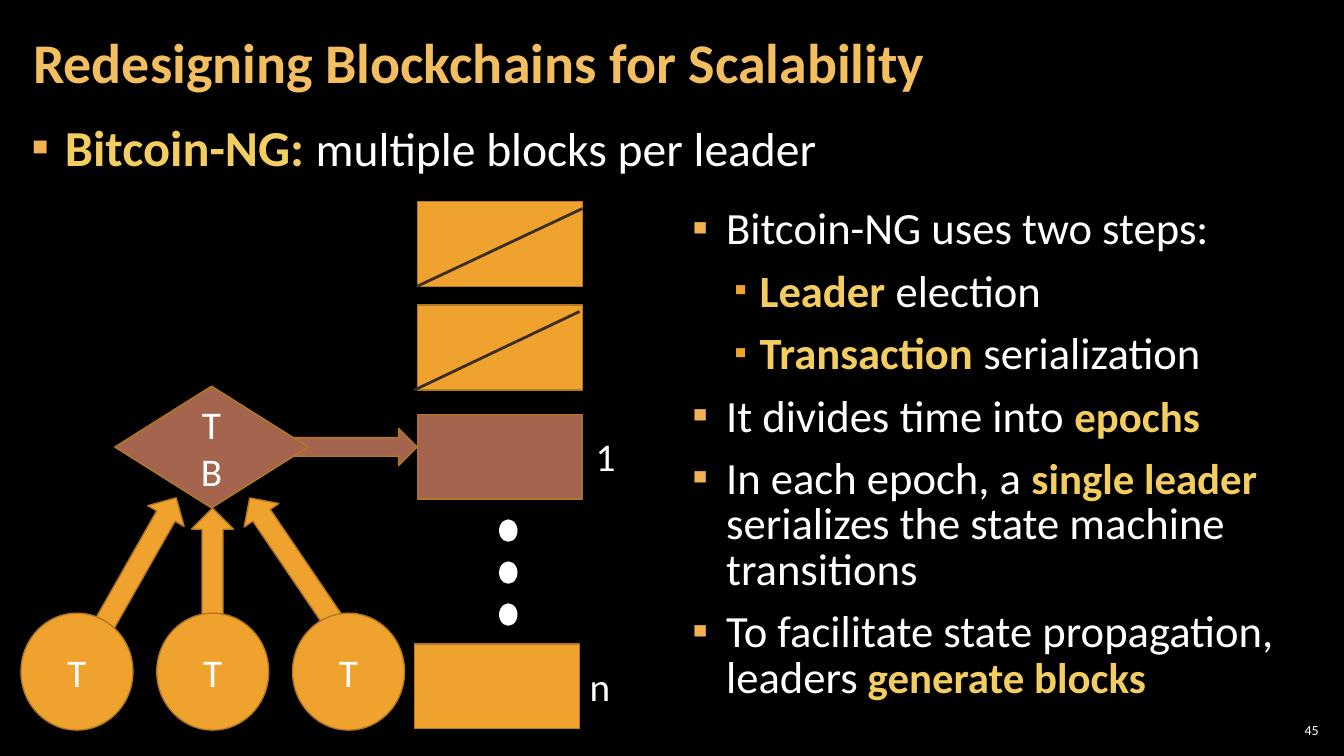
"""Build the slide on redesigning blockchains for scalability."""
from lxml import etree
from pptx import Presentation
from pptx import util as u
from pptx.dml import color
from pptx.enum import shapes, text
from pptx.oxml import ns

WHITE, GOLD, TITLE_GOLD, ORANGE, BROWN, RIM, SLASH = (
    "FFFFFF", "F3CD60", "F3BE60", "F0A22E", "A5644E", "B27822", "3B2C24")
LEFT, CENTER, RIGHT = text.PP_ALIGN.LEFT, text.PP_ALIGN.CENTER, text.PP_ALIGN.RIGHT
TOP, MIDDLE = text.MSO_ANCHOR.TOP, text.MSO_ANCHOR.MIDDLE
BULLETS = {"main": (24, -24, "F2B254", 100), "sub": (48, -18, ORANGE, 80)}


def paint(fill, value):
    """Give a fill, line fill or font fill one solid colour."""
    fill.solid()
    fill.fore_color.rgb = color.RGBColor.from_string(value)


def write(frame, paragraphs, align=LEFT, spacing=1.0, gap=0):
    """Write (bullet, runs) paragraphs; a run is (text, size, colour, bold)."""
    for index, (bullet, runs) in enumerate(paragraphs):
        paragraph = frame.paragraphs[0] if index == 0 else frame.add_paragraph()
        layout = {"alignment": align, "line_spacing": spacing, "space_after": u.Pt(gap),
                  "space_before": u.Pt(gap if index else 0)}
        for name, value in layout.items():
            setattr(paragraph, name, value)
        if bullet:
            margin, indent, tint, percent = BULLETS[bullet]
            properties = paragraph._p.get_or_add_pPr()
            properties.set("marL", str(u.Pt(margin)))
            properties.set("indent", str(u.Pt(indent)))
            bullet_color = etree.SubElement(properties, ns.qn("a:buClr"))
            etree.SubElement(bullet_color, ns.qn("a:srgbClr"), val=tint)
            etree.SubElement(properties, ns.qn("a:buSzPct"), val=str(percent * 1000))
            etree.SubElement(properties, ns.qn("a:buFont"), typeface="Calibri")
            etree.SubElement(properties, ns.qn("a:buChar"), char="▪")
        for words, size, tint, bold in runs:
            run = paragraph.add_run()
            run.text = words
            for name, value in {"name": "Calibri", "size": u.Pt(size), "bold": bold}.items():
                setattr(run.font, name, value)
            paint(run.font.fill, tint)


presentation = Presentation()
presentation.slide_width, presentation.slide_height = u.Pt(960), u.Pt(540)
slide = presentation.slides.add_slide(presentation.slide_layouts[6])
paint(slide.background.fill, "000000")

KIND = shapes.MSO_SHAPE
block_size, circle_size, arrow_size, dot_size = (118, 60.5), (80, 83.5), (30, 108), (12.2, 15)
figures = [(KIND.RIGHT_ARROW, 200, 306, (98, 26.5), 0, BROWN, RIM, "")]
for left, top, fill in [(298, 144, ORANGE), (298, 218, ORANGE), (298, 296, BROWN), (296, 460, ORANGE)]:
    figures.append((KIND.RECTANGLE, left, top, block_size, 0, fill, RIM, ""))
for left, top, turn in [(136.8, 363, 180), (84.2, 348.5, 209.6), (193.7, 346.3, 145.8)]:
    figures.append((KIND.DOWN_ARROW, left, top, arrow_size, turn, ORANGE, RIM, ""))
for column in range(3):
    figures.append((KIND.OVAL, 15 + 97 * column, 438, circle_size, 0, ORANGE, RIM, "T"))
for row in range(3):
    figures.append((KIND.OVAL, 357, 371.5 + 30 * row, dot_size, 0, WHITE, WHITE, ""))
figures.append((KIND.FLOWCHART_DECISION, 82, 275.8, (138.2, 87), 0, BROWN, RIM, "TB"))

for kind, left, top, (width, height), turn, fill, rim, letters in figures:
    shape = slide.shapes.add_shape(kind, u.Pt(left), u.Pt(top), u.Pt(width), u.Pt(height))
    shape.rotation = turn
    shape.shadow.inherit = False
    paint(shape.fill, fill)
    paint(shape.line.fill, rim)
    shape.line.width = u.Pt(1)
    shape.text_frame.vertical_anchor = MIDDLE
    write(shape.text_frame, [(None, [(letter, 28, WHITE, False)]) for letter in letters], CENTER)

for left, bottom, right, top in [(298, 204.5, 416, 149), (296, 278.6, 414, 222.5)]:
    line = slide.shapes.add_connector(
        shapes.MSO_CONNECTOR.STRAIGHT, u.Pt(left), u.Pt(bottom), u.Pt(right), u.Pt(top))
    paint(line.line.fill, SLASH)
    line.line.width = u.Pt(2)
    etree.SubElement(line._element.spPr, ns.qn("a:effectLst"))

steps = [
    ("main", [("Bitcoin-NG uses two steps:", 31.9, WHITE, False)]),
    ("sub", [("Leader", 31.9, GOLD, True), (" election", 31.9, WHITE, False)]),
    ("sub", [("Transaction", 31.9, GOLD, True), (" serialization", 31.9, WHITE, False)]),
    ("main", [("It divides time into ", 31.9, WHITE, False), ("epochs", 30.6, GOLD, True)]),
    ("main", [("In each epoch, a ", 31.9, WHITE, False), ("single leader ", 30.6, GOLD, True),
              ("serializes the state machine transitions", 31.9, WHITE, False)]),
    ("main", [("To facilitate state propagation, leaders", 31.9, WHITE, False),
              (" generate blocks", 30.6, GOLD, True)]),
]
headline = [("main", [("Bitcoin-NG: ", 36, GOLD, True),
                      ("multiple blocks per leader", 34, WHITE, False)])]
title = [(None, [("Redesigning Blockchains for Scalability", 40, TITLE_GOLD, True)])]
first, last, number = [[(None, [(label, size, WHITE, False)])]
                       for label, size in [("1", 28), ("n", 28), ("45", 10)]]

boxes = [
    ((15, 3, 754, 87), title, 8.64, 2.88, MIDDLE, True, LEFT, 0.9, 0),
    ((13.7, 77.8, 929.5, 60.5), headline, 8.64, 2.88, TOP, True, LEFT, 1.05, 6),
    ((486, 146, 455, 370), steps, 8.64, 2.88, TOP, True, LEFT, 0.85, 6),
    ((418.3, 305.3, 28.8, 41), first, 7.2, 3.6, TOP, False, LEFT, 1.0, 0),
    ((414, 469.4, 29.5, 41), last, 7.2, 3.6, TOP, False, LEFT, 1.0, 0),
    ((911, 514, 33.8, 15), number, 2.88, 2.88, MIDDLE, True, RIGHT, 1.0, 0),
]
for area, paragraphs, side, edge, anchor, wrap, align, spacing, gap in boxes:
    frame = slide.shapes.add_textbox(*map(u.Pt, area)).text_frame
    layout = {"margin_left": u.Pt(side), "margin_right": u.Pt(side), "margin_top": u.Pt(edge),
              "margin_bottom": u.Pt(edge), "vertical_anchor": anchor, "word_wrap": wrap}
    for name, value in layout.items():
        setattr(frame, name, value)
    write(frame, paragraphs, align, spacing, gap)

presentation.save("out.pptx")
